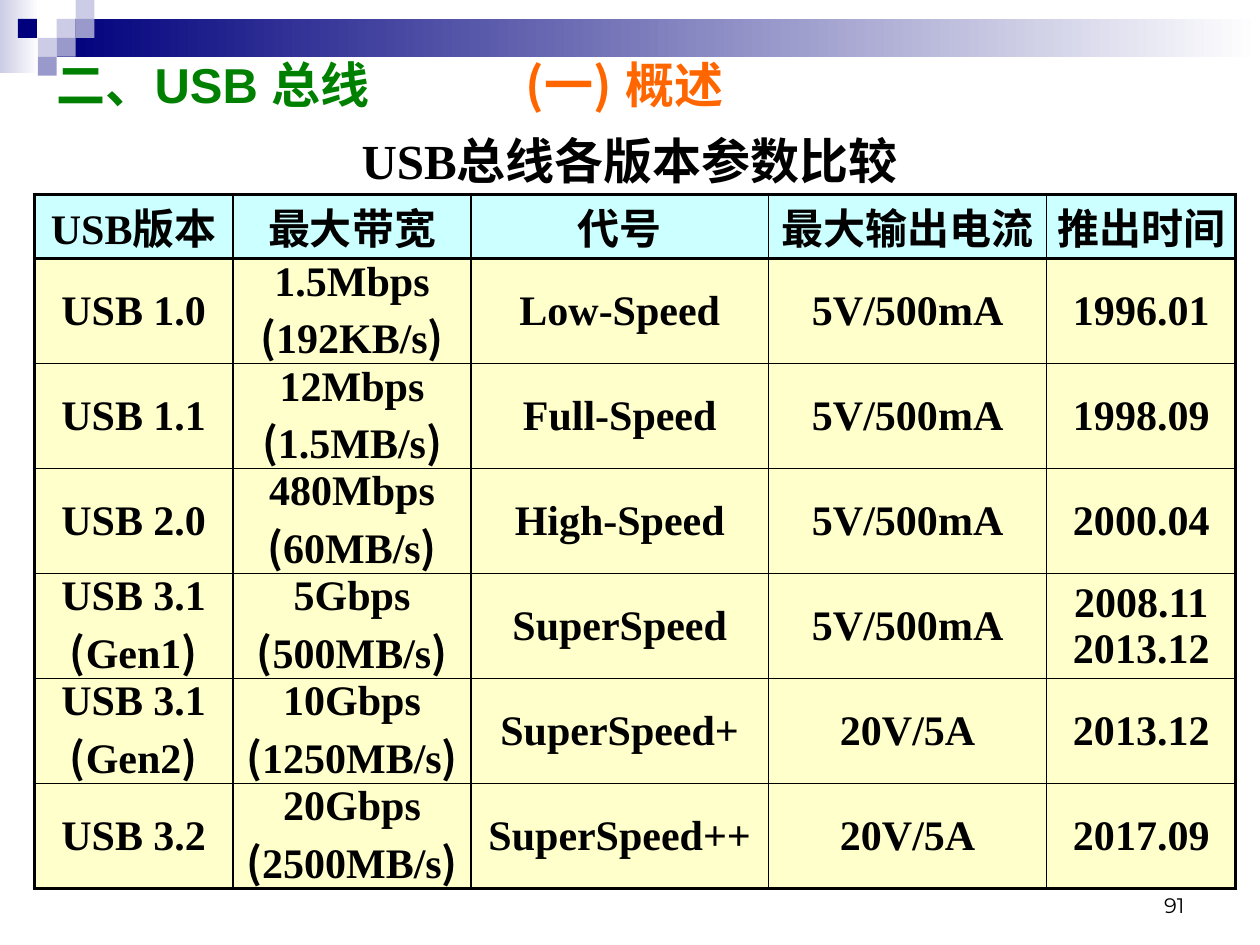
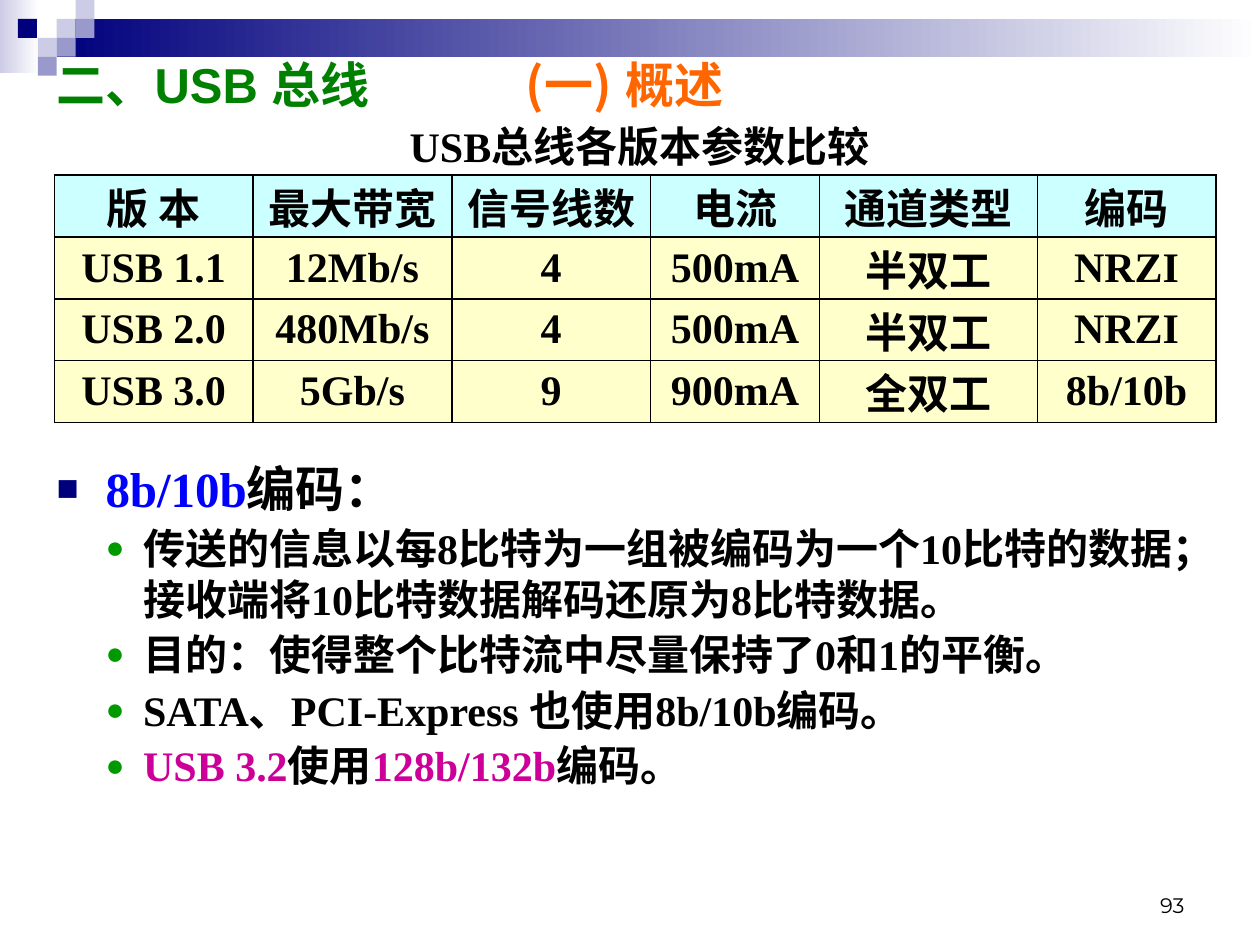
from itertools import groupby

from lxml import etree
from pptx import Presentation
from pptx.dml.color import RGBColor
from pptx.enum.shapes import MSO_SHAPE
from pptx.enum.text import MSO_ANCHOR, MSO_AUTO_SIZE, PP_ALIGN
from pptx.oxml.ns import qn
from pptx.util import Pt

RECT = MSO_SHAPE.RECTANGLE
MIDDLE, BOTTOM = MSO_ANCHOR.MIDDLE, MSO_ANCHOR.BOTTOM
LEFT, CENTER, RIGHT = PP_ALIGN.LEFT, PP_ALIGN.CENTER, PP_ALIGN.RIGHT
FIXED = MSO_AUTO_SIZE.NONE

HUES = {
    "black": "000000", "white": "FFFFFF", "navy": "00007D", "mid": "9999CC",
    "pale": "CCCCE6", "green": "008000", "orange": "FF6600", "blue": "0000FF",
    "pink": "CC0099", "dot": "009900", "head": "CCFFFF", "body": "FFFFCC",
}
SERIF, SANS, HAN, DIGIT = "Times New Roman", "Arial", "Noto Sans CJK SC", "Montserrat"

TITLE = [("二、USB 总线\t", "green"), ("(一) 概述", "orange")]
CAPTION = "USB总线各版本参数比较"
SPEEDS = [
    ["USB版本", "最大带宽", "代号", "最大输出电流", "推出时间"],
    ["USB 1.0", "1.5Mbps (192KB/s)", "Low-Speed", "5V/500mA", "1996.01"],
    ["USB 1.1", "12Mbps (1.5MB/s)", "Full-Speed", "5V/500mA", "1998.09"],
    ["USB 2.0", "480Mbps (60MB/s)", "High-Speed", "5V/500mA", "2000.04"],
    ["USB 3.1\n(Gen1)", "5Gbps (500MB/s)", "SuperSpeed", "5V/500mA", "2008.11\n2013.12"],
    ["USB 3.1\n(Gen2)", "10Gbps (1250MB/s)", "SuperSpeed+", "20V/5A", "2013.12"],
    ["USB 3.2", "20Gbps (2500MB/s)", "SuperSpeed++", "20V/5A", "2017.09"],
]
LINKS = [
    ["版 本", "最大带宽", "信号线数", "电流", "通道类型", "编码"],
    ["USB 1.1", "12Mb/s", "4", "500mA", "半双工", "NRZI"],
    ["USB 2.0", "480Mb/s", "4", "500mA", "半双工", "NRZI"],
    ["USB 3.0", "5Gb/s", "9", "900mA", "全双工", "8b/10b"],
]
POINTS = [
    [("8b/10b", "blue"), ("编码：", "black")],
    [("传送的信息以每8比特为一组被编码为一个10比特的数据；"
      "接收端将10比特数据解码还原为8比特数据。", "black")],
    [("目的：使得整个比特流中尽量保持了0和1的平衡。", "black")],
    [("SATA、PCI-Express 也使用8b/10b编码。", "black")],
    [("USB 3.2", "pink"), ("使用", "black"), ("128b/132b", "pink"), ("编码。", "black")],
]


def rgb(hue):
    """Return the named colour."""
    return RGBColor.from_string(HUES[hue])


def add(parent, tag, **attrs):
    """Append a drawing element with the given attributes."""
    return etree.SubElement(parent, qn(tag), attrs)


def write(par, parts, size, face=SERIF, bold=True, align=LEFT):
    """Fill a paragraph with coloured runs, brackets in the Han font."""
    par.alignment = align
    for text, hue in parts:
        for mark, chars in groupby(text, lambda c: c if c in "()\n" else ""):
            if mark == "\n":
                par.add_line_break()
                continue
            run = par.add_run()
            run.text = "".join(chars)
            font = run.font
            font.size, font.bold = Pt(size), bold
            font.name = HAN if mark else face
            font.color.rgb = rgb(hue)
            add(font._element, "a:ea", typeface=HAN)


def textbox(slide, box):
    """Add a wrapping text frame."""
    frame = slide.shapes.add_textbox(*map(Pt, box)).text_frame
    frame.word_wrap = True
    return frame


def block(shapes, box, hue, end=None):
    """Add a borderless block, fading to a second colour if given."""
    shape = shapes.add_shape(RECT, *map(Pt, box))
    shape.shadow.inherit = False
    shape.line.fill.background()
    if end:
        shape.fill.gradient()
        shape.fill.gradient_angle = 0
        for stop, name in zip(shape.fill.gradient_stops, (hue, end)):
            stop.color.rgb = rgb(name)
    else:
        shape.fill.solid()
        shape.fill.fore_color.rgb = rgb(hue)


def band(slide, unit=10.8):
    """Draw the top band and its mosaic of squares."""
    shapes = slide.shapes.add_group_shape().shapes
    block(shapes, (0, 0, 22.3, 41.8), "pale", "white")
    block(shapes, (3 * unit, unit, 720 - 3 * unit, 2 * unit), "navy", "white")
    for col, row, hue in [(3, 1, "pale"), (4, 0, "pale"), (4, 1, "mid"), (2, 2, "pale"),
                          (0.95, 1, "navy"), (3, 2, "mid"), (2, 3, "mid")]:
        block(shapes, (col * unit, row * unit, unit, unit), hue)


def frame(deck, number):
    """Add a slide with band, title and page number."""
    slide = deck.slides.add_slide(deck.slide_layouts[5])
    band(slide)
    title = slide.shapes.title
    title.left, title.top, title.width, title.height = map(Pt, (25.2, 30.2, 680.4, 35.3))
    text = title.text_frame
    text.auto_size, text.vertical_anchor = FIXED, MIDDLE
    par = text.paragraphs[0]
    tabs = add(par._p.get_or_add_pPr(), "a:tabLst")
    add(tabs, "a:tab", pos=str(Pt(268)), algn="l")
    write(par, TITLE, 28, SANS)
    page = textbox(slide, (516.2, 502.6, 167.8, 25.2))
    page.vertical_anchor = BOTTOM
    write(page.paragraphs[0], [(number, "black")], 12, DIGIT, False, RIGHT)
    return slide


def border(cell, sides):
    """Draw the cell borders, given as widths by side."""
    props = cell._tc.get_or_add_tcPr()
    for side in "LRTB":
        line = add(props, "a:ln" + side, w=str(Pt(sides[side])))
        add(add(line, "a:solidFill"), "a:srgbClr", val=HUES["black"])


def grid(slide, place, data, cols, rows, rim=1):
    """Add a table whose rim and header rule share one width."""
    size = sum(cols), sum(rows)
    table = slide.shapes.add_table(len(rows), len(cols), *map(Pt, place + size)).table
    for col, width in zip(table.columns, cols):
        col.width = Pt(width)
    for row, height in zip(table.rows, rows):
        row.height = Pt(height)
    for r, line in enumerate(data):
        for c, text in enumerate(line):
            cell = table.cell(r, c)
            border(cell, {
                "L": rim if c == 0 else 1,
                "R": rim if c == len(cols) - 1 else 1,
                "T": rim if r < 2 else 1,
                "B": rim if r in (0, len(rows) - 1) else 1,
            })
            cell.fill.solid()
            cell.fill.fore_color.rgb = rgb("body" if r else "head")
            cell.vertical_anchor = MIDDLE
            cell.margin_left = cell.margin_right = Pt(5)
            cell.margin_top = cell.margin_bottom = 0
            write(cell.text_frame.paragraphs[0], [(text, "black")], 24, align=CENTER)


def caption(slide, box, size):
    """Add the centred table caption."""
    par = textbox(slide, box).paragraphs[0]
    write(par, [(CAPTION, "black")], size, align=CENTER)


def bullet(par, char, hue, left, hang):
    """Give a paragraph a coloured bullet and hanging indent."""
    props = par._p.get_or_add_pPr()
    props.set("marL", str(Pt(left)))
    props.set("indent", str(-Pt(hang)))
    add(add(props, "a:buClr"), "a:srgbClr", val=HUES[hue])
    add(props, "a:buSzPct", val="75000")
    add(props, "a:buFont", typeface=SANS)
    add(props, "a:buChar", char=char)


def notes(slide, box):
    """List the lead point and its details."""
    text = textbox(slide, box)
    for i, parts in enumerate(POINTS):
        par = text.add_paragraph() if i else text.paragraphs[0]
        if i:
            bullet(par, "●", "dot", 49.5, 21.5)
            par.level, par.space_before = 1, Pt(3)
        else:
            bullet(par, "■", "navy", 28, 28)
        write(par, parts, 24 if i else 28)


def main():
    """Build both slides and save the deck."""
    deck = Presentation()
    deck.slide_width, deck.slide_height = Pt(720), Pt(540)
    slide = frame(deck, "91")
    grid(slide, (19.6, 111), SPEEDS, (113.6, 136, 170, 159, 108), [36.8] + [60] * 6, 2.25)
    caption(slide, (19.4, 71.3, 680.4, 45.4), 28)
    slide = frame(deck, "93")
    grid(slide, (31, 100), LINKS, (113.6, 113.6, 113.6, 96.5, 124.5, 102), [35.4] * 4)
    caption(slide, (25.2, 65.5, 680.4, 33.8), 24)
    notes(slide, (25.2, 258.5, 680.4, 263.5))
    deck.save("out.pptx")


if __name__ == "__main__":
    main()
